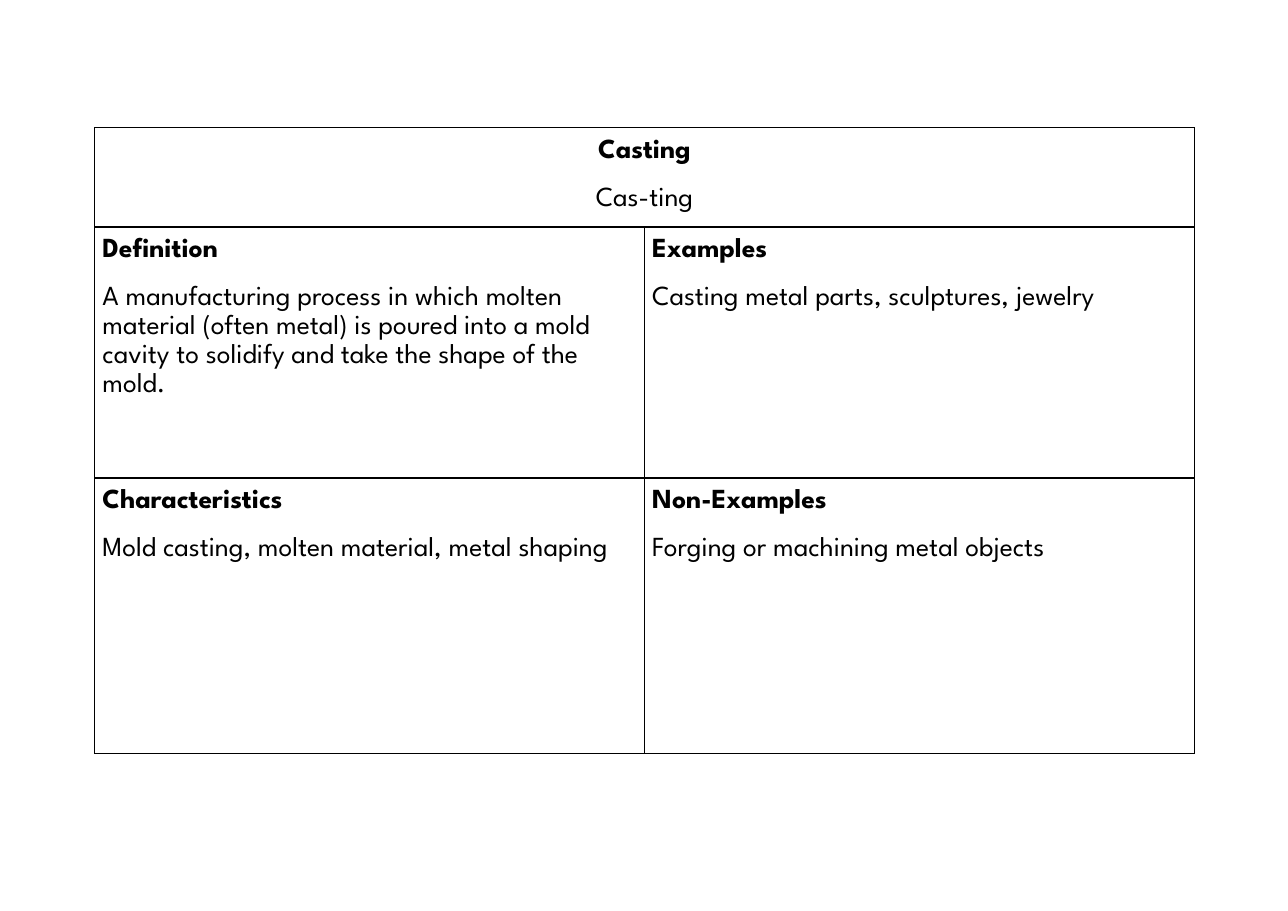
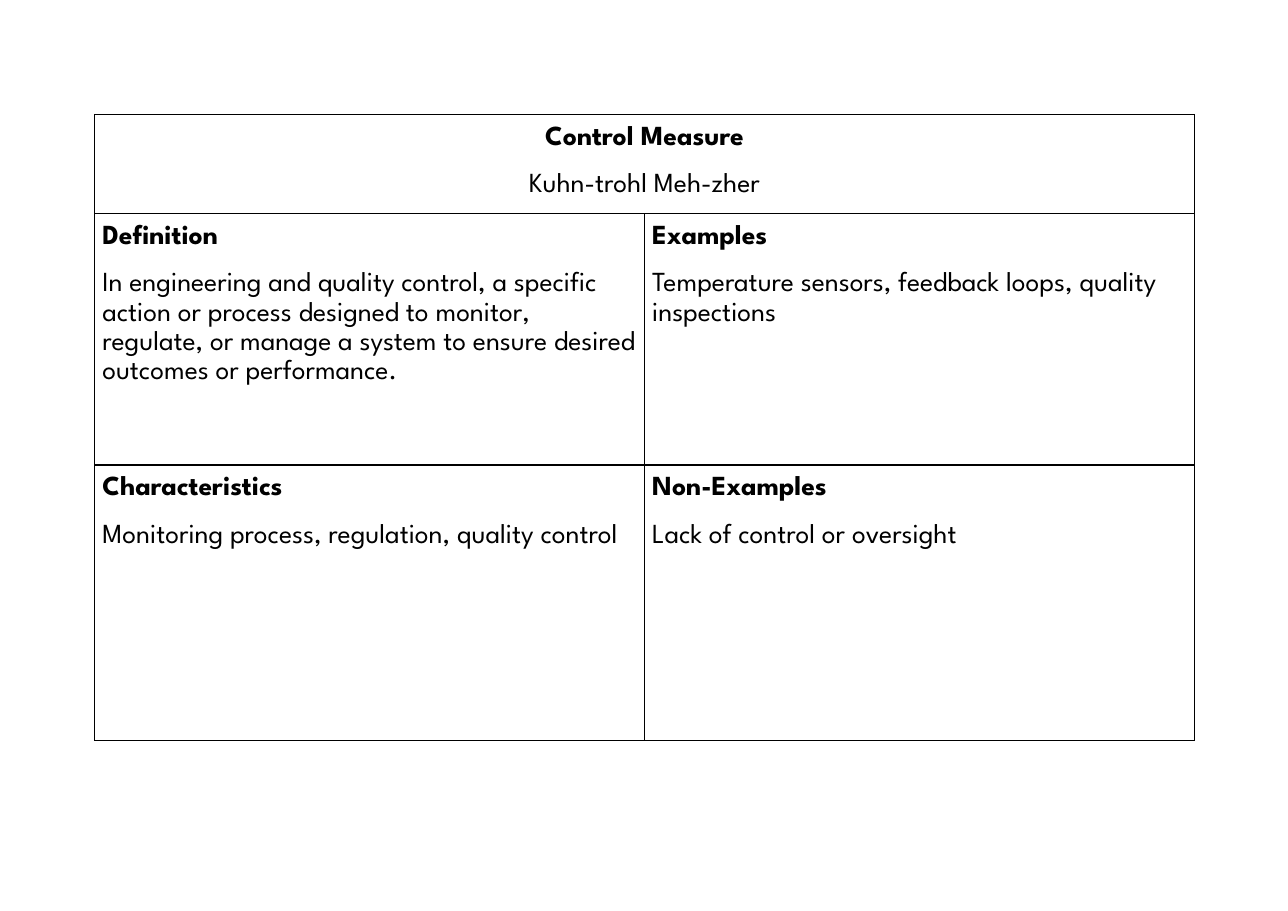
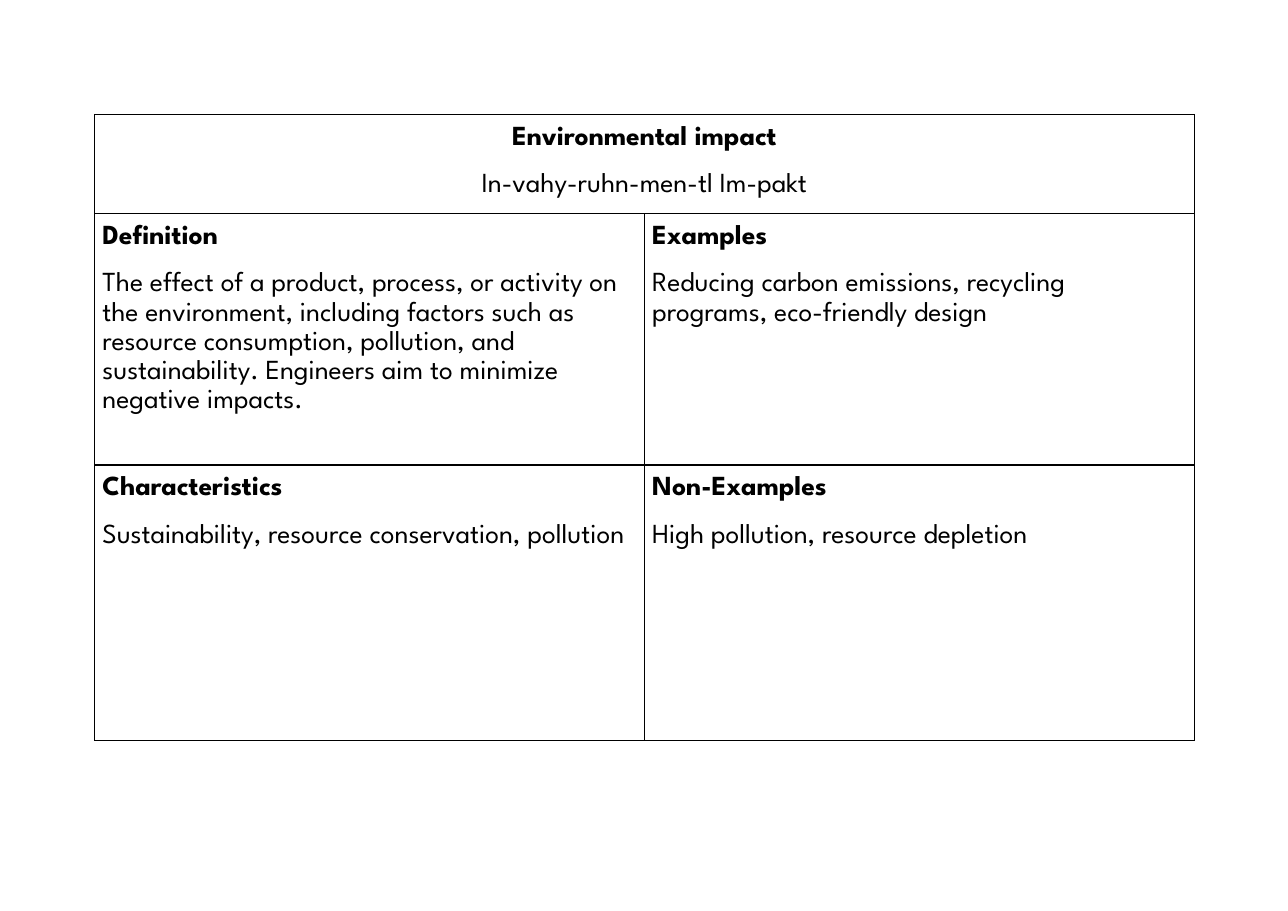
from dataclasses import dataclass

from lxml import etree
from pptx import Presentation
from pptx.dml.color import RGBColor
from pptx.enum.text import MSO_ANCHOR, PP_ALIGN
from pptx.oxml.ns import qn
from pptx.util import Pt

LEFT = PP_ALIGN.LEFT
CENTER = PP_ALIGN.CENTER
TOP = MSO_ANCHOR.TOP
EMU_PER_PX = 9144


def px(length):
    return length * EMU_PER_PX


@dataclass(frozen=True)
class Theme:
    font: str = "League Spartan"
    ink: str = "000000"
    text_size: int = 18
    line_spacing: float = 1.15
    paragraph_gap: int = 12
    border_width: int = 1
    cell_margin: int = 7


PAGE_WIDTH, PAGE_HEIGHT = 1169, 827
TABLE_LEFT = 86
COLUMN_WIDTH = 499
ROW_HEIGHTS = (90, 228, 250)
HEADINGS = (("Definition", "Examples"), ("Characteristics", "Non-Examples"))

WORDS = [
    {
        "top": 116,
        "Term": ("Casting", "Cas-ting"),
        "Definition": "A manufacturing process in which molten material (often metal) "
                      "is poured into a mold cavity to solidify and take the shape of the mold.",
        "Examples": "Casting metal parts, sculptures, jewelry",
        "Characteristics": "Mold casting, molten material, metal shaping",
        "Non-Examples": "Forging or machining metal objects",
    },
    {
        "top": 104,
        "Term": ("Control Measure", "Kuhn-trohl Meh-zher"),
        "Definition": "In engineering and quality control, a specific action or process "
                      "designed to monitor, regulate, or manage a system to ensure desired "
                      "outcomes or performance.",
        "Examples": "Temperature sensors, feedback loops, quality inspections",
        "Characteristics": "Monitoring process, regulation, quality control",
        "Non-Examples": "Lack of control or oversight",
    },
    {
        "top": 104,
        "Term": ("Environmental impact", "In-vahy-ruhn-men-tl Im-pakt"),
        "Definition": "The effect of a product, process, or activity on the environment, "
                      "including factors such as resource consumption, pollution, and "
                      "sustainability. Engineers aim to minimize negative impacts.",
        "Examples": "Reducing carbon emissions, recycling programs, eco-friendly design",
        "Characteristics": "Sustainability, resource conservation, pollution",
        "Non-Examples": "High pollution, resource depletion",
    },
]


class VocabularyDeck:
    def __init__(self, theme):
        self.theme = theme
        self.deck = Presentation()
        self.deck.slide_width = px(PAGE_WIDTH)
        self.deck.slide_height = px(PAGE_HEIGHT)
        self.page = None

    def add_page(self):
        self.page = self.deck.slides.add_slide(self.deck.slide_layouts[6])

    def add_word_table(self, word):
        table = self.page.shapes.add_table(
            len(ROW_HEIGHTS), 2, px(TABLE_LEFT), px(word["top"]),
            px(2 * COLUMN_WIDTH), px(sum(ROW_HEIGHTS))).table
        table.first_row = table.horz_banding = False
        for column in table.columns:
            column.width = px(COLUMN_WIDTH)
        for row, height in zip(table.rows, ROW_HEIGHTS):
            row.height = px(height)
        for cell in table.iter_cells():
            self.style_cell(cell)
        table.cell(0, 0).merge(table.cell(0, 1))
        self.write_cell(table.cell(0, 0), *word["Term"], CENTER)
        for row_index, headings in enumerate(HEADINGS, 1):
            for column_index, heading in enumerate(headings):
                self.write_cell(table.cell(row_index, column_index), heading, word[heading])

    def style_cell(self, cell):
        margin = px(self.theme.cell_margin)
        cell.margin_left = cell.margin_right = margin
        cell.margin_top = cell.margin_bottom = margin
        cell.vertical_anchor = TOP
        properties = cell._tc.get_or_add_tcPr()
        for side in ("lnL", "lnR", "lnT", "lnB"):
            line = etree.SubElement(properties, qn(f"a:{side}"), w=str(Pt(self.theme.border_width)))
            fill = etree.SubElement(line, qn("a:solidFill"))
            etree.SubElement(fill, qn("a:srgbClr"), val=self.theme.ink)
        cell.fill.background()

    def write_cell(self, cell, heading, body, alignment=LEFT):
        frame = cell.text_frame
        self.write_paragraph(frame.paragraphs[0], heading, alignment, True)
        para = frame.add_paragraph()
        para.space_before = Pt(self.theme.paragraph_gap)
        self.write_paragraph(para, body, alignment, False)

    def write_paragraph(self, para, text, alignment, bold):
        para.text = text
        para.alignment = alignment
        para.line_spacing = self.theme.line_spacing
        para.font.name = self.theme.font
        para.font.size = Pt(self.theme.text_size)
        para.font.bold = bold
        para.font.color.rgb = RGBColor.from_string(self.theme.ink)


def main():
    vocabulary = VocabularyDeck(Theme())
    for word in WORDS:
        vocabulary.add_page()
        vocabulary.add_word_table(word)
    vocabulary.deck.save("out.pptx")


if __name__ == "__main__":
    main()
